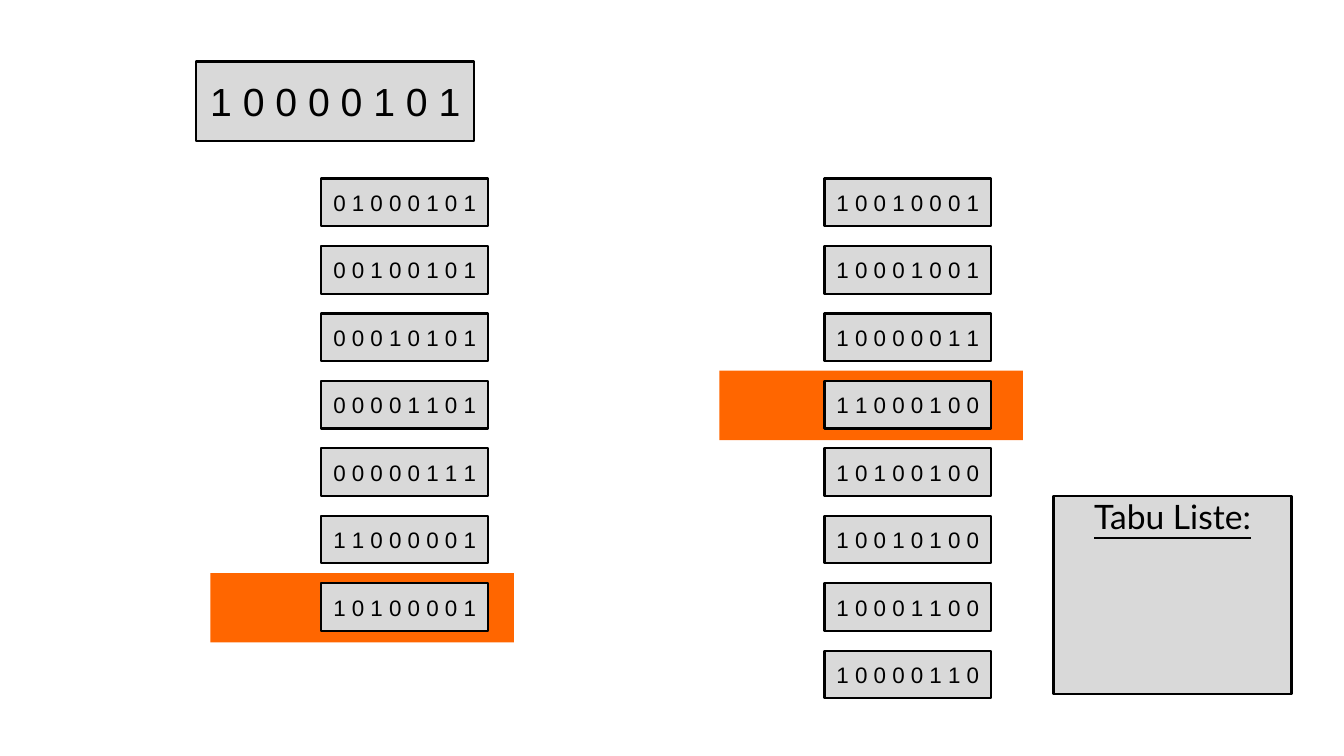
from dataclasses import dataclass

from pptx import Presentation
from pptx.dml.color import RGBColor
from pptx.enum.shapes import MSO_SHAPE
from pptx.enum.text import MSO_ANCHOR, PP_ALIGN
from pptx.util import Cm, Pt


@dataclass(frozen=True)
class Theme:
    box_fill: RGBColor = RGBColor(0xD9, 0xD9, 0xD9)
    highlight: RGBColor = RGBColor(0xFF, 0x66, 0x00)
    ink: RGBColor = RGBColor(0x00, 0x00, 0x00)
    bit_font: str = "Arial"
    list_font: str = "Lato"
    start_size: int = 28
    list_size: int = 24
    neighbour_size: int = 16
    line_width: float = 1.5


class SlideBuilder:
    def __init__(self, slide, theme):
        self.slide = slide
        self.theme = theme

    def rectangle(self, left, top, width, height, fill):
        shape = self.slide.shapes.add_shape(
            MSO_SHAPE.RECTANGLE, Cm(left), Cm(top), Cm(width), Cm(height))
        shape.shadow.inherit = False
        shape.fill.solid()
        shape.fill.fore_color.rgb = fill
        shape.line.fill.background()
        return shape

    def highlight(self, left, top):
        self.rectangle(left, top, 7.65, 1.75, self.theme.highlight)

    def text_box(self, left, top, width, height, text, font, size):
        shape = self.rectangle(left, top, width, height, self.theme.box_fill)
        shape.line.color.rgb = self.theme.ink
        shape.line.width = Pt(self.theme.line_width)
        frame = shape.text_frame
        frame.word_wrap = False
        frame.vertical_anchor = MSO_ANCHOR.MIDDLE
        paragraph = frame.paragraphs[0]
        paragraph.alignment = PP_ALIGN.CENTER
        run = paragraph.add_run()
        run.text = text
        run.font.name = font
        run.font.size = Pt(size)
        run.font.color.rgb = self.theme.ink
        return shape

    def bit_string(self, left, top, width, height, bits, size):
        self.text_box(left, top, width, height, " ".join(bits),
                      self.theme.bit_font, size)

    def tabu_list(self, left, top, width, height, heading):
        shape = self.text_box(left, top, width, height, heading,
                              self.theme.list_font, self.theme.list_size)
        frame = shape.text_frame
        frame.vertical_anchor = MSO_ANCHOR.TOP
        frame.margin_top = 0
        frame.paragraphs[0].runs[0].font.underline = True


FIRST_ROW, ROW_STEP = 4.5, 1.7
LEFT_COLUMN, RIGHT_COLUMN = 8.1, 20.78
NEIGHBOURS = {
    LEFT_COLUMN: ["01000101", "00100101", "00010101", "00001101",
                  "00000111", "11000001", "10100001"],
    RIGHT_COLUMN: ["10010001", "10001001", "10000011", "11000100",
                   "10100100", "10010100", "10001100", "10000110"],
}
# Left edge of each highlight and the row it marks
HIGHLIGHTS = [(5.3, 6), (18.13, 3)]


def row_top(row):
    return FIRST_ROW + row * ROW_STEP


def main():
    presentation = Presentation()
    presentation.slide_width = Cm(33.87)
    presentation.slide_height = Cm(19.05)
    slide = presentation.slides.add_slide(presentation.slide_layouts[6])
    theme = Theme()
    builder = SlideBuilder(slide, theme)

    # Highlights behind the chosen neighbours
    for left, row in HIGHLIGHTS:
        builder.highlight(left, row_top(row) - 0.26)

    # Start solution and tabu list
    builder.bit_string(4.95, 1.55, 7, 2, "10000101", theme.start_size)
    builder.tabu_list(26.55, 12.5, 6, 5, "Tabu Liste:")

    # Neighbours in two columns
    for left, column in NEIGHBOURS.items():
        for row, bits in enumerate(column):
            builder.bit_string(left, row_top(row), 4.2, 1.2, bits,
                               theme.neighbour_size)

    presentation.save("out.pptx")


if __name__ == "__main__":
    main()
